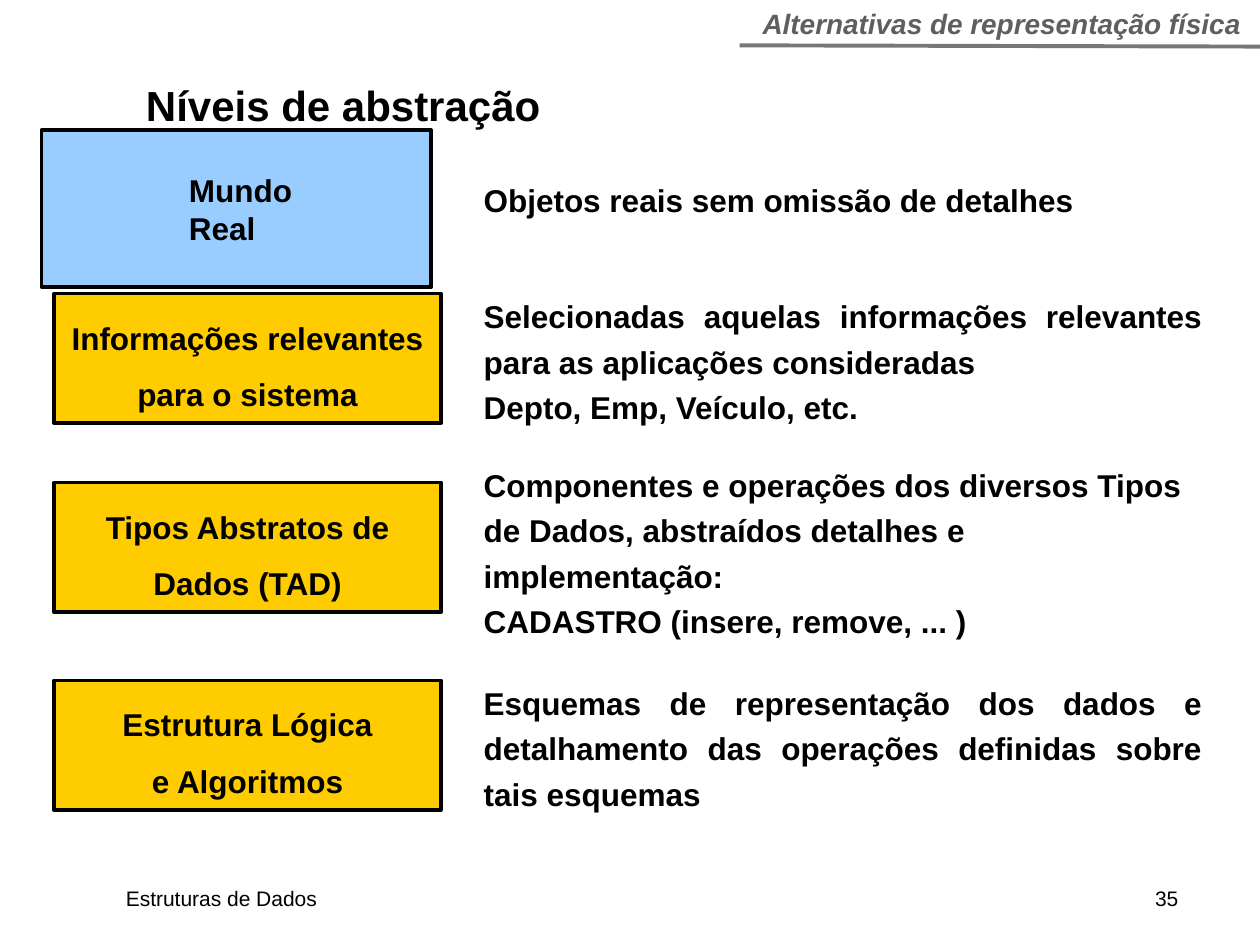
import pptx
import pptx.util
import pptx.dml.color
import pptx.enum.shapes
import pptx.enum.text
import pptx.oxml.ns
import lxml.etree

HUES = {"ink": "000000", "sky": "99CCFF", "gold": "FFCC00",
        "rule": "777777", "head": "5F5F5F"}
ALIGN = pptx.enum.text.PP_ALIGN
ANCHOR = pptx.enum.text.MSO_ANCHOR
SHAPE = pptx.enum.shapes.MSO_SHAPE
LINK = pptx.enum.shapes.MSO_CONNECTOR
COLS, ROWS = 100, 75
UNIT = pptx.util.Inches(0.1)

LEVELS = [
    (23.3, "Informações relevantes\npara o sistema", 22.5, 11.8,
     [("Selecionadas aquelas informações relevantes para as aplicações "
       "consideradas", ALIGN.JUSTIFY),
      ("Depto, Emp, Veículo, etc.", ALIGN.JUSTIFY)]),
    (38.3, "Tipos Abstratos de Dados (TAD)", 35.9, 15.5,
     [("Componentes e operações dos diversos Tipos de Dados, abstraídos "
       "detalhes e implementação:", ALIGN.LEFT),
      ("CADASTRO (insere, remove, ... )", ALIGN.JUSTIFY)]),
    (54, "Estrutura Lógica\ne Algoritmos", 53.2, 11.8,
     [("Esquemas de representação dos dados e detalhamento das operações "
       "definidas sobre tais esquemas", ALIGN.JUSTIFY)]),
]


def grid(*cells):
    return [round(cell * UNIT) for cell in cells]


def hue(name):
    return pptx.dml.color.RGBColor.from_string(HUES[name])


def write(frame, paras, size=18, bold=True, slant=False, tint="ink",
          space=None, anchor=ANCHOR.TOP, pad=(0.1, 0.05)):
    frame.word_wrap = True
    frame.vertical_anchor = anchor
    frame.margin_left = frame.margin_right = pptx.util.Inches(pad[0])
    frame.margin_top = frame.margin_bottom = pptx.util.Inches(pad[1])
    for at, (text, align) in enumerate(paras):
        para = frame.add_paragraph() if at else frame.paragraphs[0]
        para.text = text
        para.alignment = align
        if space:
            para.line_spacing = space
        for run in para.runs:
            font = run.font
            font.name = "Arial"
            font.size = pptx.util.Pt(size)
            font.bold = bold
            font.italic = slant
            font.color.rgb = hue(tint)


def label(slide, box, paras, **style):
    write(slide.shapes.add_textbox(*grid(*box)).text_frame, paras, **style)


def panel(slide, box, tint):
    shape = slide.shapes.add_shape(SHAPE.RECTANGLE, *grid(*box))
    shape.shadow.inherit = False
    shape.fill.solid()
    shape.fill.fore_color.rgb = hue(tint)
    shape.line.color.rgb = hue("ink")
    shape.line.width = pptx.util.Pt(2)
    return shape


def header(slide, box):
    left, top, width, height = box
    line = slide.shapes.add_connector(
        LINK.STRAIGHT, *grid(left, top + 3.6, left + width, top + 3.7))
    line.line.color.rgb = hue("rule")
    line.line.width = pptx.util.Pt(2.25)
    props = line._element.spPr
    lxml.etree.SubElement(props, pptx.oxml.ns.qn("a:effectLst"))
    label(slide, (left + 0.8, top, width - 1.3, height),
          [("Alternativas de representação física", ALIGN.CENTER)],
          size=16, slant=True, tint="head")


def world(slide, box):
    left, top, width, height = box
    panel(slide, box, "sky")
    label(slide, (left + 10.5, top + 2.7, width / 2, 7.2),
          [("Mundo", ALIGN.JUSTIFY), ("Real", ALIGN.JUSTIFY)],
          pad=(0.12, 0.06))
    label(slide, (37.4, top + 3.6, 49.6, 7),
          [("Objetos reais sem omissão de detalhes", ALIGN.JUSTIFY)])


def level(slide, box, name, note, paras):
    shape = panel(slide, box, "gold")
    write(shape.text_frame, [(name, ALIGN.CENTER)], space=1.5)
    label(slide, note, paras, space=1.2)


def footer(slide, box):
    left, top, width, height = box
    half = width / 2
    label(slide, (left, top, half, height),
          [("Estruturas de Dados", ALIGN.LEFT)], size=12, bold=False)
    label(slide, (left + half, top, half, height),
          [("35", ALIGN.RIGHT)], size=12, bold=False)


def main():
    deck = pptx.Presentation()
    deck.slide_width, deck.slide_height = grid(COLS, ROWS)
    slide = deck.slides.add_slide(deck.slide_layouts[6])
    footer(slide, (9, 69.8, 85.5, 3))
    world(slide, (3.3, 10.3, 30.9, 12.5))
    for top, name, row, height, paras in LEVELS:
        level(slide, (4.3, top, 30.7, 10.3), name,
              (37.4, row, 59, height), paras)
    label(slide, (10.6, 5.2, 34.5, 6.2),
          [("Níveis de abstração", ALIGN.LEFT)], size=24,
          anchor=ANCHOR.MIDDLE)
    header(slide, (58.7, 0, 41.3, 3.7))
    deck.save("out.pptx")


if __name__ == "__main__":
    main()
